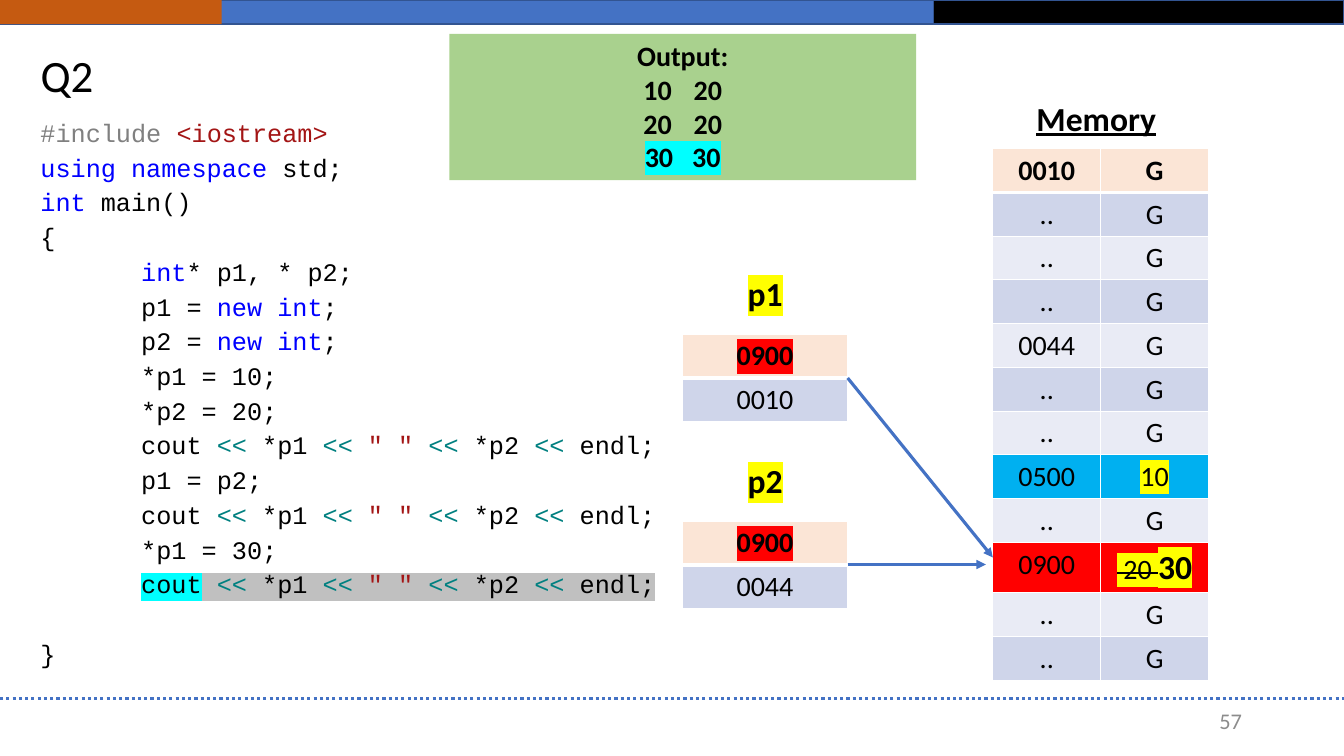
from lxml import etree
from pptx import Presentation
from pptx.dml.color import RGBColor
from pptx.enum.dml import MSO_LINE
from pptx.enum.shapes import MSO_CONNECTOR, MSO_SHAPE
from pptx.enum.text import MSO_ANCHOR, PP_ALIGN
from pptx.oxml.ns import qn
from pptx.util import Pt

RECTANGLE = MSO_SHAPE.RECTANGLE
STRAIGHT = MSO_CONNECTOR.STRAIGHT
DOTTED = MSO_LINE.ROUND_DOT
LEFT, CENTER, RIGHT = PP_ALIGN.LEFT, PP_ALIGN.CENTER, PP_ALIGN.RIGHT
TOP, MIDDLE = MSO_ANCHOR.TOP, MSO_ANCHOR.MIDDLE

BLACK = RGBColor(0x00, 0x00, 0x00)
WHITE = RGBColor(0xFF, 0xFF, 0xFF)
BLUE = RGBColor(0x44, 0x72, 0xC4)
NAVY = RGBColor(0x32, 0x54, 0x91)
ORANGE = RGBColor(0xC5, 0x5A, 0x11)
GREEN = RGBColor(0xA9, 0xD1, 0x8E)
PAGE_GRAY = RGBColor(0x8C, 0x8C, 0x8C)
PEACH = RGBColor(0xFB, 0xE5, 0xD6)
BAND_DARK = RGBColor(0xCF, 0xD5, 0xEA)
BAND_LIGHT = RGBColor(0xE9, 0xEB, 0xF5)
SKY = RGBColor(0x00, 0xB0, 0xF0)
RED = RGBColor(0xFF, 0x00, 0x00)
YELLOW = RGBColor(0xFF, 0xFF, 0x00)
CYAN = RGBColor(0x00, 0xFF, 0xFF)
SILVER = RGBColor(0xC0, 0xC0, 0xC0)
DIRECTIVE = RGBColor(0x80, 0x80, 0x80)
KEYWORD = RGBColor(0x00, 0x00, 0xFF)
STRING = RGBColor(0xA3, 0x15, 0x15)
OPERATOR = RGBColor(0x00, 0x80, 0x80)


def style_run(run, size, color=BLACK, bold=False, font="Calibri", highlight=None):
    run.font.size = Pt(size)
    run.font.name = font
    run.font.bold = bold
    run.font.color.rgb = color
    if highlight is not None:
        mark = etree.Element(qn("a:highlight"))
        etree.SubElement(mark, qn("a:srgbClr"), val=str(highlight))
        run.font._element.find(qn("a:solidFill")).addnext(mark)


def add_label(text, left, top, width, height, size, align, anchor, **style):
    label = slide.shapes.add_textbox(Pt(left), Pt(top), Pt(width), Pt(height))
    frame = label.text_frame
    frame.word_wrap = True
    frame.vertical_anchor = anchor
    frame.text = text
    frame.paragraphs[0].alignment = align
    style_run(frame.paragraphs[0].runs[0], size, **style)
    return frame.paragraphs[0]


prs = Presentation()
prs.slide_width, prs.slide_height = Pt(960), Pt(540)
slide = prs.slides.add_slide(prs.slide_layouts[5])

# Top bands and footer
for left, width, fill, outline in [
    (0, 666.7, BLUE, NAVY),
    (666.7, 293.3, BLACK, NAVY),
    (0, 158.4, ORANGE, None),
]:
    band = slide.shapes.add_shape(RECTANGLE, Pt(left), 0, Pt(width), Pt(17.3))
    band.shadow.inherit = False
    band.fill.solid()
    band.fill.fore_color.rgb = fill
    if outline is None:
        band.line.fill.background()
    else:
        band.line.color.rgb = outline
        band.line.width = Pt(1)
add_label("57", 678.2, 500.4, 216, 28.8, 16, RIGHT, MIDDLE, color=PAGE_GRAY)

# Title
title = slide.shapes.title
title.left, title.top, title.width, title.height = Pt(21.8), Pt(25.4), Pt(828), Pt(60.5)
title.text_frame.text = "Q2"
title.text_frame.vertical_anchor = MIDDLE
title.text_frame.paragraphs[0].alignment = LEFT
title.text_frame.paragraphs[0].line_spacing = 0.9
style_run(title.text_frame.paragraphs[0].runs[0], 32)

# Program listing: each line is a list of (text, colour) tokens
print_tail = [
    (" ", BLACK), ("<<", OPERATOR), (" *p1 ", BLACK), ("<< ", OPERATOR),
    ('" " ', STRING), ("<<", OPERATOR), (" *p2 ", BLACK), ("<< ", OPERATOR),
    ("endl;", BLACK),
]
print_line = [("\tcout", BLACK)] + print_tail
code_lines = [
    [("#include ", DIRECTIVE), ("<iostream>", STRING)],
    [("using namespace", KEYWORD), (" std;", BLACK)],
    [("int", KEYWORD), (" main()", BLACK)],
    [("{", BLACK)],
    [("\t", BLACK), ("int", KEYWORD), ("* p1, * p2;", BLACK)],
    [("\tp1 = ", BLACK), ("new int", KEYWORD), (";", BLACK)],
    [("\tp2 = ", BLACK), ("new int", KEYWORD), (";", BLACK)],
    [("\t*p1 = 10;", BLACK)],
    [("\t*p2 = 20;", BLACK)],
    print_line,
    [("\tp1 = p2;", BLACK)],
    print_line,
    [("\t*p1 = 30;", BLACK)],
    [("\t", BLACK), ("cout", BLACK, CYAN)] + [token + (SILVER,) for token in print_tail],
    [("}", BLACK)],
]
LINE_PITCH = 24.8
listing = slide.shapes.add_textbox(Pt(21.8), Pt(77), Pt(480.2), Pt(406.8)).text_frame
listing.word_wrap = True
for number, tokens in enumerate(code_lines):
    line = listing.add_paragraph() if number else listing.paragraphs[0]
    line.line_spacing = Pt(LINE_PITCH)
    tab_stops = etree.SubElement(line._p.get_or_add_pPr(), qn("a:tabLst"))
    etree.SubElement(tab_stops, qn("a:tab"), pos=str(Pt(72)), algn="l")
    for text, color, *highlight in tokens:
        run = line.add_run()
        run.text = text
        style_run(run, 18, color, font="Courier New",
                  highlight=highlight[0] if highlight else None)
line.space_before = Pt(LINE_PITCH)

# Tables: each cell is (text, fill, highlight)
pointer_left, pointer_width = 487.4, 118.1
tables = []
for name, label_top, table_top, old_address in [
    ("p1", 191.5, 238.7, "0010"),
    ("p2", 325.1, 372.3, "0044"),
]:
    add_label(name, 510.1, label_top, 72.7, 36, 24, CENTER, TOP, bold=True, highlight=YELLOW)
    cells = [[("0900", PEACH, RED)], [(old_address, BAND_DARK, None)]]
    tables.append((pointer_left, table_top, pointer_width, cells))

memory_rows = [("0010", "G")] + [("..", "G")] * 11
memory_rows[4] = ("0044", "G")
memory_rows[7] = ("0500", "10")
memory_rows[9] = ("0900", " 20 ")
row_fills = {0: PEACH, 7: SKY, 9: RED}
memory_cells = []
for index, (address, value) in enumerate(memory_rows):
    fill = row_fills.get(index, BAND_DARK if index % 2 else BAND_LIGHT)
    value_mark = None if value == "G" else YELLOW
    memory_cells.append([(address, fill, None), (value, fill, value_mark)])
tables.append((709.2, 106.2, 154.1, memory_cells))

ROW_HEIGHT = 29.5
for left, top, width, cells in tables:
    table = slide.shapes.add_table(
        len(cells), len(cells[0]), Pt(left), Pt(top), Pt(width), Pt(ROW_HEIGHT * len(cells))
    ).table
    for row, row_cells in enumerate(cells):
        for column, (text, fill, highlight) in enumerate(row_cells):
            cell = table.cell(row, column)
            cell.fill.solid()
            cell.fill.fore_color.rgb = fill
            cell.text_frame.text = text
            cell.text_frame.paragraphs[0].alignment = CENTER
            style_run(cell.text_frame.paragraphs[0].runs[0], 20, bold=row == 0,
                      highlight=highlight)
            if row == 0:
                border = etree.Element(qn("a:lnB"), w=str(Pt(3)))
                border_fill = etree.SubElement(border, qn("a:solidFill"))
                etree.SubElement(border_fill, qn("a:srgbClr"), val=str(WHITE))
                cell._tc.get_or_add_tcPr().insert(0, border)

# The last table is the memory: 20 is struck out and replaced by 30
overwritten = table.cell(9, 1).text_frame.paragraphs[0]
overwritten.runs[0].font._element.set("strike", "sngStrike")
new_value = overwritten.add_run()
new_value.text = "30"
style_run(new_value, 24, bold=True, highlight=YELLOW)

heading = add_label("Memory", 693.4, 55.8, 179.3, 60.5, 24, CENTER, MIDDLE, bold=True)
heading.line_spacing = 0.9
heading.runs[0].font.underline = True

# Footer rule and pointer arrows
for x1, y1, x2, y2, is_arrow in [
    (0, 499, 960, 499, False),
    (605.5, 270, 709.2, 398.2, True),
    (605.5, 403.2, 704.2, 403.2, True),
]:
    connector = slide.shapes.add_connector(STRAIGHT, Pt(x1), Pt(y1), Pt(x2), Pt(y2))
    connector.line.color.rgb = BLUE
    connector.line.width = Pt(2.25)
    if is_arrow:
        etree.SubElement(connector.line._get_or_add_ln(), qn("a:tailEnd"), type="triangle")
    else:
        connector.line.dash_style = DOTTED
    etree.SubElement(connector._element.spPr, qn("a:effectLst"))

# Output panel: the first number of two lines is an automatic number
panel = slide.shapes.add_shape(RECTANGLE, Pt(321), Pt(24.2), Pt(333.4), Pt(104.4))
panel.shadow.inherit = False
panel.fill.solid()
panel.fill.fore_color.rgb = GREEN
panel.line.fill.background()
panel.text_frame.vertical_anchor = TOP
panel.text_frame.text = "Output:\n20\n20\n30   30"
for line, start in zip(panel.text_frame.paragraphs, [None, 10, 20, None]):
    line.alignment = CENTER
    style_run(line.runs[0], 20, bold=True, highlight=CYAN if line.text == "30   30" else None)
    if start:
        properties = line._p.get_or_add_pPr()
        properties.set("marL", str(Pt(36)))
        properties.set("indent", str(-Pt(36)))
        etree.SubElement(properties, qn("a:buAutoNum"), type="arabicPlain", startAt=str(start))

prs.save("out.pptx")
